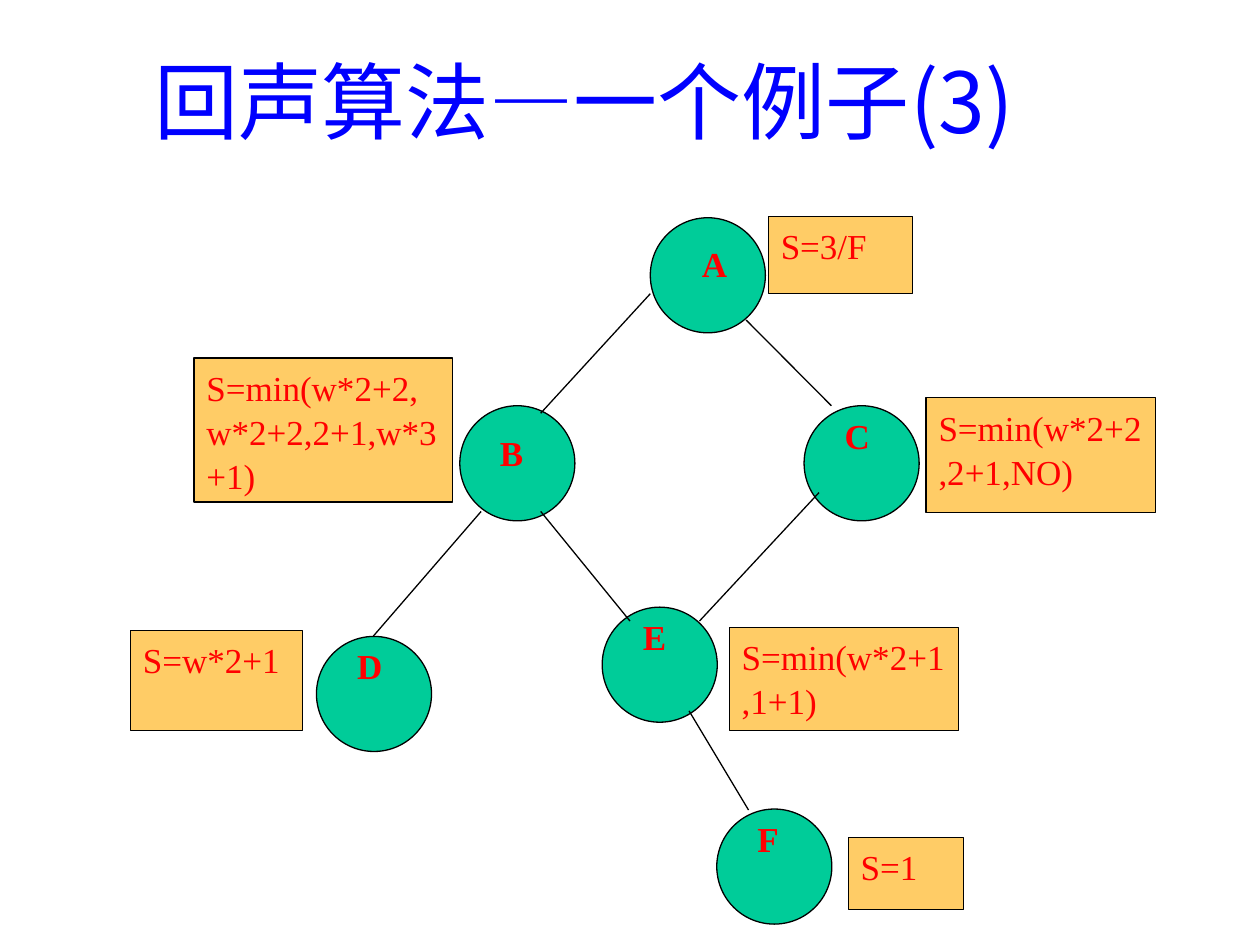
from lxml import etree
from pptx import Presentation, util as u
from pptx.dml.color import RGBColor
from pptx.enum import shapes, text
from pptx.oxml.ns import qn

TITLE = "回声算法—一个例子(3)"
TITLE_FONT = "Noto Sans CJK JP"
DIAMETER = 2.32
NODES = [
    ("A", (13.11, 4.39), (0.79, 0.33), (1.02, 1.14)),
    ("B", (9.27, 8.18), (0.56, 0.36), (1.27, 1.4)),
    ("C", (16.21, 8.18), (0.57, 0), (1.73, 1.75)),
    ("D", (6.38, 12.83), (0.57, 0), (1.73, 1.75)),
    ("E", (12.14, 12.24), (0.57, 0), (1.73, 1.75)),
    ("F", (14.45, 16.31), (0.57, 0), (1.73, 1.75)),
]
EDGES = [
    (13.11, 5.92, 10.9, 8.33),
    (9.7, 10.31, 7.52, 12.83),
    (15.04, 6.45, 16.76, 8.18),
    (10.9, 10.31, 12.7, 12.52),
    (13.89, 14.33, 15.09, 16.33),
    (16.51, 9.93, 14.1, 12.52),
]
STATES = [
    ("S=w*2+1", (2.63, 12.71, 3.47, 2.02)),
    ("S=1", (17.1, 16.88, 2.32, 1.45)),
    ("S=min(w*2+1,1+1)", (14.7, 12.65, 4.63, 2.08)),
    ("S=min(w*2+2,2+1,NO)", (18.67, 8.02, 4.63, 2.32)),
    ("S=min(w*2+2,w*2+2,2+1,w*3+1)", (3.91, 7.22, 5.21, 2.9)),
    ("S=3/F", (15.49, 4.36, 2.91, 1.56)),
]
STATE_FONT = {"name": "Times New Roman", "size": u.Pt(20), "bold": False}
LABEL_FONT = {**STATE_FONT, "bold": True}
FRAME = {"word_wrap": True, "vertical_anchor": text.MSO_ANCHOR.TOP}
PARAGRAPH = {"alignment": text.PP_ALIGN.JUSTIFY, "line_spacing": 1.05}


def color(hex_value):
    return RGBColor.from_string(hex_value)


def lengths(values):
    return [u.Cm(value) for value in values]


def apply(target, values):
    for name, value in values.items():
        setattr(target, name, value)


def write(shape, content, font):
    frame = shape.text_frame
    apply(frame, FRAME)
    paragraph = frame.paragraphs[0]
    apply(paragraph, PARAGRAPH)
    run = paragraph.add_run()
    run.text = content
    apply(run.font, font)
    run.font.color.rgb = color("FF0000")


def outline(line):
    line.color.rgb = color("000000")
    line.width = u.Pt(0.75)


def add_filled(group, kind, box, fill):
    shape = group.shapes.add_shape(kind, *lengths(box))
    shape.shadow.inherit = False
    shape.fill.solid()
    shape.fill.fore_color.rgb = color(fill)
    outline(shape.line)
    return shape


def add_title(slide):
    title = slide.shapes.title
    box = lengths((1.27, 0.43, 21.59, 3.18))
    apply(title, dict(zip(("left", "top", "width", "height"), box)))
    frame = title.text_frame
    apply(frame, {"word_wrap": True, "auto_size": text.MSO_AUTO_SIZE.NONE,
                  "vertical_anchor": text.MSO_ANCHOR.MIDDLE, "margin_right": u.Cm(0.85)})
    paragraph = frame.paragraphs[0]
    paragraph.alignment = text.PP_ALIGN.CENTER
    run = paragraph.add_run()
    run.text = TITLE
    apply(run.font, {"name": TITLE_FONT, "size": u.Pt(48), "bold": False})
    run.font.color.rgb = color("0000FF")
    properties = run.font._element
    etree.SubElement(properties, qn("a:ea")).set("typeface", TITLE_FONT)


def main():
    presentation = Presentation()
    presentation.slide_width, presentation.slide_height = lengths((25.4, 19.05))
    slide = presentation.slides.add_slide(presentation.slide_layouts[5])
    add_title(slide)
    tree = slide.shapes.add_group_shape()

    for name, (left, top), (shift_x, shift_y), size in NODES:
        add_filled(tree, shapes.MSO_SHAPE.OVAL, (left, top, DIAMETER, DIAMETER), "00CC99")
        label = tree.shapes.add_textbox(*lengths((left + shift_x, top + shift_y, *size)))
        write(label, name, LABEL_FONT)

    for edge in EDGES:
        connector = tree.shapes.add_connector(shapes.MSO_CONNECTOR.STRAIGHT, *lengths(edge))
        outline(connector.line)
        etree.SubElement(connector._element.spPr, qn("a:effectLst"))

    for state, box in STATES:
        write(add_filled(tree, shapes.MSO_SHAPE.RECTANGLE, box, "FFCC66"), state, STATE_FONT)

    presentation.save("out.pptx")


if __name__ == "__main__":
    main()
